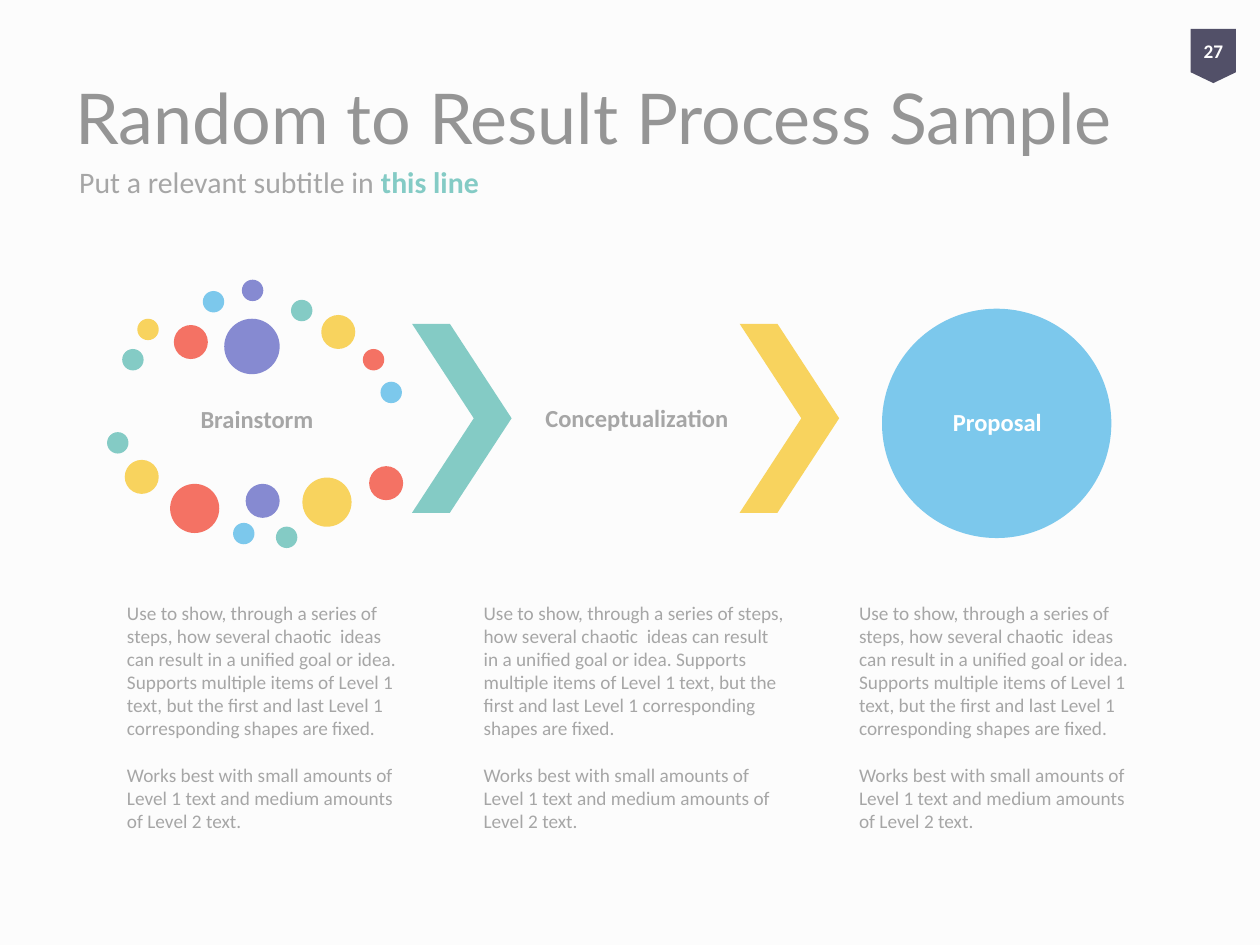
from dataclasses import dataclass
from typing import NamedTuple

from pptx import Presentation
from pptx.dml.color import RGBColor
from pptx.enum.shapes import MSO_SHAPE
from pptx.enum.text import MSO_ANCHOR, PP_ALIGN
from pptx.util import Inches, Pt

OVAL, CHEVRON = MSO_SHAPE.OVAL, MSO_SHAPE.CHEVRON
BADGE = MSO_SHAPE.FLOWCHART_OFFPAGE_CONNECTOR
TOP, MIDDLE = MSO_ANCHOR.TOP, MSO_ANCHOR.MIDDLE
LEFT, CENTER = PP_ALIGN.LEFT, PP_ALIGN.CENTER


@dataclass(frozen=True)
class Theme:
    back: str = "FCFCFC"
    title: str = "959595"
    text: str = "A6A6A6"
    white: str = "FFFFFF"
    badge: str = "525068"
    teal: str = "84CBC5"
    yellow: str = "F8D35E"
    red: str = "F47264"
    blue: str = "7CC8EC"
    purple: str = "868AD1"
    title_font: str = "Lato"
    body_font: str = "Calibri"
    title_size: float = 40
    subtitle_size: float = 17
    label_size: float = 14
    body_size: float = 11
    paragraph_gap: float = 13.4


T = Theme()


class Box(NamedTuple):
    x: float
    y: float
    w: float
    h: float


class Dot(NamedTuple):
    x: float
    y: float
    d: float
    color: str


class Label(NamedTuple):
    text: str
    box: Box
    color: str


class Run(NamedTuple):
    text: str
    color: str
    bold: bool = False


# Dot diameters
SMALL, MEDIUM, LARGE, HUGE = 0.17, 0.27, 0.39, 0.44

DOTS = [
    # Upper arc
    Dot(0.97, 2.77, SMALL, T.teal),
    Dot(1.09, 2.53, SMALL, T.yellow),
    Dot(1.38, 2.58, MEDIUM, T.red),
    Dot(1.61, 2.31, SMALL, T.blue),
    Dot(1.92, 2.22, SMALL, T.purple),
    Dot(2.31, 2.38, SMALL, T.teal),
    Dot(2.55, 2.50, MEDIUM, T.yellow),
    Dot(2.88, 2.77, SMALL, T.red),
    Dot(3.02, 3.03, SMALL, T.blue),
    Dot(1.78, 2.53, HUGE, T.purple),
    # Lower arc
    Dot(0.85, 3.43, SMALL, T.teal),
    Dot(0.99, 3.65, MEDIUM, T.yellow),
    Dot(1.35, 3.84, LARGE, T.red),
    Dot(1.85, 4.15, SMALL, T.blue),
    Dot(1.95, 3.84, MEDIUM, T.purple),
    Dot(2.19, 4.18, SMALL, T.teal),
    Dot(2.40, 3.79, LARGE, T.yellow),
    Dot(2.93, 3.70, MEDIUM, T.red),
]
CHEVRONS = [(3.27, T.teal), (5.87, T.yellow)]
LABELS = [
    Label("Brainstorm", Box(0.97, 2.98, 2.14, 0.71), T.text),
    Label("Conceptualization", Box(3.98, 2.58, 2.15, 1.5), T.text),
    Label("Proposal", Box(7.27, 2.72, 1.29, 1.29), T.white),
]
COLUMNS = [(0.91, 2.46), (3.74, 2.6), (6.72, 2.46)]  # left, width
DESCRIPTION = [
    "Use to show, through a series of steps, how several chaotic  ideas can "
    "result in a unified goal or idea. Supports multiple items of Level 1 text, "
    "but the first and last Level 1 corresponding shapes are fixed.",
    "Works best with small amounts of Level 1 text and medium amounts of "
    "Level 2 text.",
]


def add_shape(s, kind: MSO_SHAPE, box: Box, color: str):
    sp = s.shapes.add_shape(kind, *map(Inches, box))
    sp.shadow.inherit = False
    sp.fill.solid()
    sp.fill.fore_color.rgb = RGBColor.from_string(color)
    sp.line.fill.background()
    return sp


def write(sp, paragraphs: list[list[Run]], *, size: float, font: str = T.body_font,
          align: PP_ALIGN = LEFT, anchor: MSO_ANCHOR = MIDDLE,
          inset: float | None = None, spacing: float = 1.0, gap: float = 0) -> None:
    tf = sp.text_frame
    tf.word_wrap = True
    tf.vertical_anchor = anchor
    if inset is not None:
        tf.margin_left = tf.margin_right = Inches(inset)
        tf.margin_top = tf.margin_bottom = Inches(inset)
    for i, runs in enumerate(paragraphs):
        p = tf.add_paragraph() if i else tf.paragraphs[0]
        p.alignment = align
        p.line_spacing = spacing
        if i:
            p.space_before = Pt(gap)
        for run in runs:
            r = p.add_run()
            r.text = run.text
            r.font.name = font
            r.font.size = Pt(size)
            r.font.bold = run.bold
            r.font.color.rgb = RGBColor.from_string(run.color)


def add_text(s, box: Box, paragraphs: list[list[Run]], **style) -> None:
    write(s.shapes.add_textbox(*map(Inches, box)), paragraphs, **style)


def main() -> None:
    prs = Presentation()
    prs.slide_width, prs.slide_height = Inches(10), Inches(7.5)
    s = prs.slides.add_slide(prs.slide_layouts[6])
    s.background.fill.solid()
    s.background.fill.fore_color.rgb = RGBColor.from_string(T.back)

    # Heading
    add_text(s, Box(0.5, 0.3, 8.83, 1.25),
             [[Run("Random to Result Process Sample", T.title)]],
             size=T.title_size, font=T.title_font)
    add_text(s, Box(0.53, 1.18, 4.79, 0.53),
             [[Run("Put a relevant subtitle in ", T.text),
               Run("this line", T.teal, True)]], size=T.subtitle_size)

    # Process: scattered dots, chevrons, final circle
    for dot in DOTS:
        add_shape(s, OVAL, Box(dot.x, dot.y, dot.d, dot.d), dot.color)
    for x, color in CHEVRONS:
        sp = add_shape(s, CHEVRON, Box(x, 2.57, 0.79, 1.5), color)
        sp.adjustments[0] = 0.62
    add_shape(s, OVAL, Box(7, 2.45, 1.82, 1.82), T.blue)
    for label in LABELS:
        add_text(s, label.box, [[Run(label.text, label.color, True)]],
                 size=T.label_size, align=CENTER, inset=0.02, spacing=0.9)

    # Descriptions
    for x, width in COLUMNS:
        add_text(s, Box(x, 4.72, width, 1.95),
                 [[Run(text, T.text)] for text in DESCRIPTION],
                 size=T.body_size, anchor=TOP, gap=T.paragraph_gap)

    # Page number badge
    badge = add_shape(s, BADGE, Box(9.45, 0.23, 0.36, 0.43), T.badge)
    write(badge, [[Run("27", T.white, True)]],
          size=T.body_size, align=CENTER, inset=0)

    prs.save("out.pptx")


if __name__ == "__main__":
    main()
